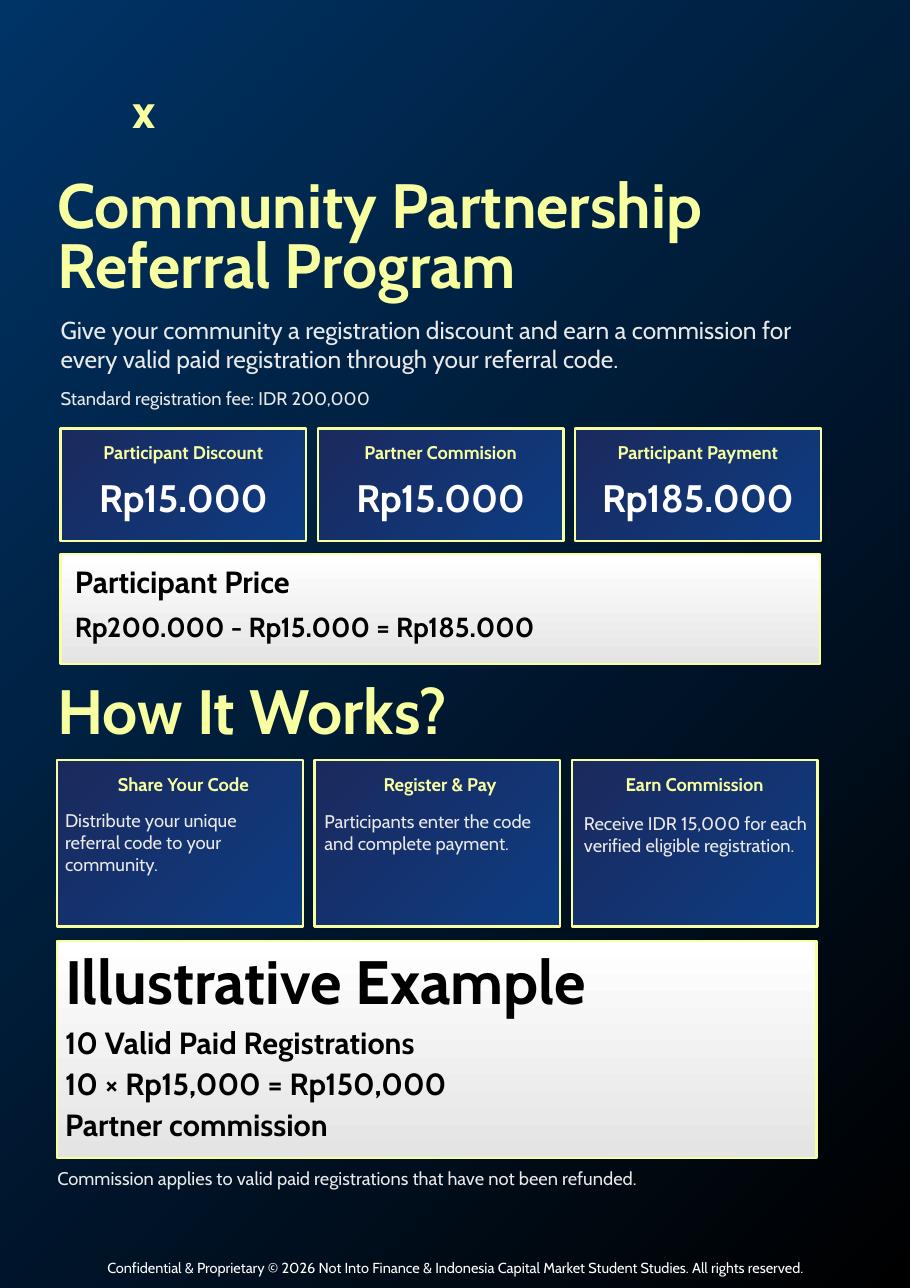
from dataclasses import dataclass

from pptx import Presentation
from pptx.dml.color import RGBColor
from pptx.enum.shapes import MSO_SHAPE
from pptx.enum.text import MSO_AUTO_SIZE, PP_ALIGN
from pptx.util import Inches, Pt


@dataclass(frozen=True)
class Theme:
    font: str = "Cabin"
    accent: str = "F7FFA1"
    white: str = "FFFFFF"
    muted: str = "E9E9E9"
    ink: str = "000000"
    background: tuple = ("003366", "000000", 45)
    card: tuple = ("1B2A5E", "0D3C82", 45)
    panel: tuple = ("FFFFFF", "E4E4E4", 90)
    border: float = 1.5
    heading: float = 40.9
    example: float = 40
    mark: float = 31
    amount: float = 25
    subheading: float = 20
    formula: float = 18
    lead: float = 16
    body: float = 12
    legal: float = 9.5
    tight: float = 0.95
    loose: float = 1.2


class Page:
    """One slide measured in grid columns and rows of a tenth of an inch."""

    cell = Inches(0.1)

    def __init__(self, presentation, theme):
        self.theme = theme
        self.slide = presentation.slides.add_slide(presentation.slide_layouts[6])
        self.gradient(self.slide.background.fill, theme.background)

    def place(self, *lengths):
        return [round(length * self.cell) for length in lengths]

    def gradient(self, fill, colours):
        """Fill with (start, end, clockwise angle)."""
        start, end, angle = colours
        fill.gradient()
        fill.gradient_angle = 360 - angle
        for stop, colour in zip(fill.gradient_stops, (start, end)):
            stop.color.rgb = RGBColor.from_string(colour)

    def frame(self, left, top, width, height, colours):
        shape = self.slide.shapes.add_shape(
            MSO_SHAPE.RECTANGLE, *self.place(left, top, width, height))
        shape.shadow.inherit = False
        self.gradient(shape.fill, colours)
        shape.line.color.rgb = RGBColor.from_string(self.theme.accent)
        shape.line.width = Pt(self.theme.border)

    def text(self, left, top, width, height, lines, size, colour,
             bold=False, centred=False, leading=None):
        """Write one paragraph per line; leading is a multiple of the size."""
        box = self.slide.shapes.add_textbox(*self.place(left, top, width, height))
        frame = box.text_frame
        frame.word_wrap = True
        frame.auto_size = MSO_AUTO_SIZE.SHAPE_TO_FIT_TEXT
        frame.margin_left = frame.margin_right = 0
        frame.margin_top = frame.margin_bottom = 0
        leading = leading or (self.theme.tight if bold else self.theme.loose)
        for index, line in enumerate(lines):
            paragraph = frame.add_paragraph() if index else frame.paragraphs[0]
            paragraph.alignment = PP_ALIGN.CENTER if centred else PP_ALIGN.LEFT
            paragraph.line_spacing = Pt(round(size * leading, 1))
            run = paragraph.add_run()
            run.text = line
            run.font.name = self.theme.font
            run.font.size = Pt(size)
            run.font.bold = bold
            run.font.color.rgb = RGBColor.from_string(colour)

    def heading(self, top, height, line):
        self.text(5.2, top, 67.8, height, [line], self.theme.heading,
                  self.theme.accent, bold=True)

    def note(self, left, top, width, height, line):
        self.text(left, top, width, height, [line], self.theme.body, self.theme.muted)

    def card(self, left, top, height, title, title_left):
        self.frame(left, top, 22.3, height, self.theme.card)
        self.text(title_left, top + 1.55, 20.3, 1.8, [title], self.theme.body,
                  self.theme.accent, bold=True, centred=True)

    def panel(self, left, top, height):
        self.frame(left, top, 68.9, height, self.theme.panel)


CARD_PITCH = 23.35
OFFERS = [
    ("Participant Discount", "Rp15.000"),
    ("Partner Commision", "Rp15.000"),
    ("Participant Payment", "Rp185.000"),
]
STEPS = [
    ("Share Your Code", 6.5, 73.4,
     "Distribute your unique referral code to your community."),
    ("Register & Pay", 29.8, 73.5,
     "Participants enter the code and complete payment."),
    ("Earn Commission", 52.9, 73.7,
     "Receive IDR 15,000 for each verified eligible registration."),
]


def add_introduction(page, theme):
    page.text(11.8, 8.6, 2.5, 4.2, ["x"], theme.mark, theme.accent,
              bold=True, centred=True, leading=0.92)
    page.heading(16.5, 11, "Community Partnership Referral Program")
    page.text(5.5, 28.6, 72, 5.3, [
        "Give your community a registration discount and earn a commission for "
        "every valid paid registration through your referral code."],
        theme.lead, theme.muted)
    page.note(5.5, 35.1, 72, 2.1, "Standard registration fee: IDR 200,000")


def add_offers(page, theme):
    for index, (title, amount) in enumerate(OFFERS):
        left = 5.5 + index * CARD_PITCH
        page.card(left, 38.9, 10.2, title, left + 1)
        page.text(left + 1, 43.9, 20.3, 3.5, [amount], theme.amount,
                  theme.white, bold=True, centred=True)
    page.panel(5.5, 50.3, 9.95)
    page.text(6.8, 51.8, 35.1, 2.9, ["Participant Price"],
              theme.subheading, theme.ink, bold=True)
    page.text(6.8, 56, 66.2, 2.5, ["Rp200.000 - Rp15.000 = Rp185.000"],
              theme.formula, theme.ink, bold=True)


def add_steps(page):
    page.heading(62.4, 5.7, "How It Works?")
    for index, (title, title_left, body_top, body) in enumerate(STEPS):
        page.card(5.2 + index * CARD_PITCH, 69, 15.1, title, title_left)
        page.note(5.9 + index * 23.55, body_top, 20.8, 6, body)


def add_example(page, theme):
    page.panel(5.2, 85.4, 19.7)
    page.text(5.9, 87, 54.5, 5.6, ["Illustrative Example"],
              theme.example, theme.ink, bold=True)
    page.text(5.9, 92.5, 54.5, 10.9, [
        "10 Valid Paid Registrations",
        "10 × Rp15,000 = Rp150,000",
        "Partner commission",
    ], theme.subheading, theme.ink, bold=True, leading=1.34)
    page.note(5.2, 105.9, 69.2, 2.1,
              "Commission applies to valid paid registrations that have not been refunded.")


def add_footer(page, theme):
    page.text(5.3, 114, 72.1, 1.8, [
        "Confidential & Proprietary © 2026 Not Into Finance & Indonesia Capital "
        "Market Student Studies. All rights reserved."],
        theme.legal, theme.white, centred=True, leading=1.4)


def main():
    presentation = Presentation()
    presentation.slide_width = Inches(8.26)
    presentation.slide_height = Inches(11.69)
    theme = Theme()
    page = Page(presentation, theme)
    add_introduction(page, theme)
    add_offers(page, theme)
    add_steps(page)
    add_example(page, theme)
    add_footer(page, theme)
    presentation.save("out.pptx")


if __name__ == "__main__":
    main()
